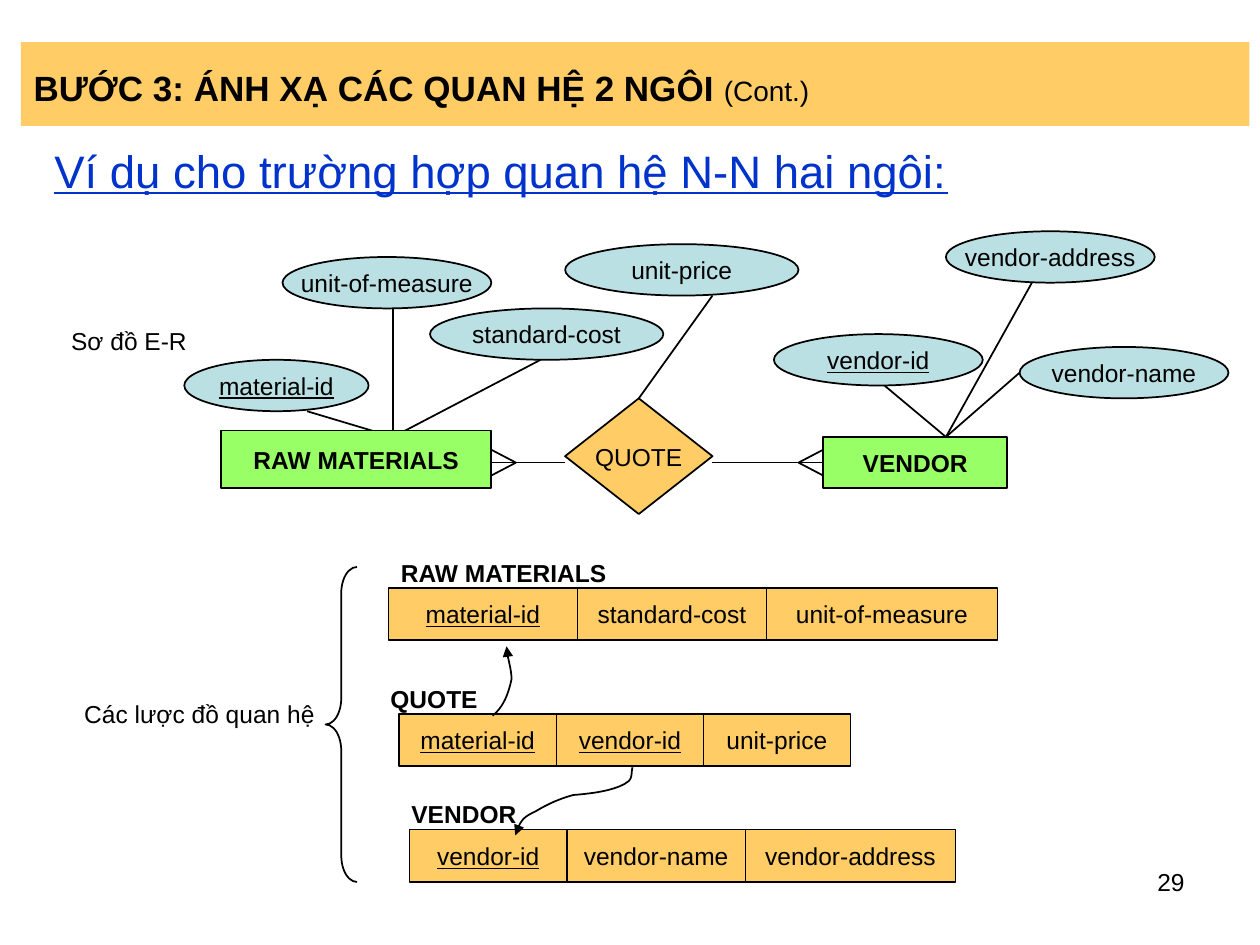
from dataclasses import dataclass

import lxml.etree
import pptx
import pptx.dml.color
import pptx.enum.shapes
import pptx.enum.text
import pptx.oxml.ns
import pptx.util

SHAPE = pptx.enum.shapes.MSO_SHAPE
ALIGN = pptx.enum.text.PP_ALIGN
MIDDLE = pptx.enum.text.MSO_ANCHOR.MIDDLE
TOP = pptx.enum.text.MSO_ANCHOR.TOP


@dataclass(frozen=True)
class Theme:
    font: str = "Arial"
    ink: str = "000000"
    heading: str = "0033CC"
    band: str = "FFCC66"
    entity: str = "99FF66"
    attribute: str = "BBE0E3"
    title_size: int = 20
    suffix_size: int = 16
    heading_size: int = 26
    body_size: int = 14
    line_width: int = 1


@dataclass(frozen=True)
class Grid:
    """Turns columns and rows, counted from the slide's corner, into lengths."""
    column: float
    row: float

    def x(self, columns):
        return pptx.util.Inches(columns * self.column)

    def y(self, rows):
        return pptx.util.Inches(rows * self.row)

    def box(self, left, top, width, height):
        return self.x(left), self.y(top), self.x(width), self.y(height)


THEME = Theme()
PAGE = Grid(1 / 12, 1 / 12)
DIAGRAM = Grid(0.0975, 0.102)


def rgb(colour):
    return pptx.dml.color.RGBColor.from_string(colour)


def style_run(run, size=THEME.body_size, colour=THEME.ink, bold=False, underline=False):
    run.font.name = THEME.font
    run.font.size = pptx.util.Pt(size)
    run.font.color.rgb = rgb(colour)
    run.font.bold = bold
    run.font.underline = underline


def write(shape, text, align=ALIGN.CENTER, anchor=MIDDLE, wrap=False, **style):
    frame = shape.text_frame
    frame.text = text
    frame.word_wrap = wrap
    frame.vertical_anchor = anchor
    paragraph = frame.paragraphs[0]
    paragraph.alignment = align
    style_run(paragraph.runs[0], **style)
    return paragraph


def outline(shape):
    shape.line.color.rgb = rgb(THEME.ink)
    shape.line.width = pptx.util.Pt(THEME.line_width)


def add_node(slide, kind, box, text, fill, **style):
    node = slide.shapes.add_shape(kind, *box)
    node.shadow.inherit = False
    node.fill.solid()
    node.fill.fore_color.rgb = rgb(fill)
    outline(node)
    write(node, text, **style)
    return node


def add_label(slide, box, text, **options):
    return write(slide.shapes.add_textbox(*box), text, **options)


def add_link(slide, start, end):
    link = slide.shapes.add_connector(
        pptx.enum.shapes.MSO_CONNECTOR.STRAIGHT,
        DIAGRAM.x(start[0]), DIAGRAM.y(start[1]), DIAGRAM.x(end[0]), DIAGRAM.y(end[1]))
    outline(link)
    lxml.etree.SubElement(link._element.spPr, pptx.oxml.ns.qn("a:effectLst"))
    return link


def add_crow_foot(slide, side, tip, middle=36):
    for edge in (middle - 1, middle + 1):
        add_link(slide, (side, edge), (tip, middle))


def bezier(p0, p1, p2, p3, steps=10):
    """Points along a cubic curve, without its start."""
    for step in range(1, steps + 1):
        t = step / steps
        u = 1 - t
        yield tuple(u**3 * a + 3 * u * u * t * b + 3 * u * t * t * c + t**3 * d
                    for a, b, c, d in zip(p0, p1, p2, p3))


def add_curved_arrow(slide, start, *curves):
    """Draw an arrow through curves of two control points and an end, in inches."""
    points = [start]
    for curve in curves:
        points.extend(bezier(points[-1], *curve))
    points = [(pptx.util.Inches(x), pptx.util.Inches(y)) for x, y in points]
    builder = slide.shapes.build_freeform(*points[0])
    builder.add_line_segments(points[1:], close=False)
    arrow = builder.convert_to_shape()
    arrow.shadow.inherit = False
    arrow.fill.background()
    outline(arrow)
    lxml.etree.SubElement(arrow.line._get_or_add_ln(),
                          pptx.oxml.ns.qn("a:tailEnd"), type="triangle")


def add_title(slide, text, suffix):
    title = slide.shapes.title
    title.left, title.top, title.width, title.height = PAGE.box(2, 4, 117, 8)
    title.fill.solid()
    title.fill.fore_color.rgb = rgb(THEME.band)
    paragraph = write(title, text, align=ALIGN.LEFT, wrap=True,
                      size=THEME.title_size, bold=True)
    paragraph.line_spacing = 1.15
    ending = paragraph.add_run()
    ending.text = suffix
    style_run(ending, size=THEME.suffix_size)


def add_relation(slide, name, name_left, name_top, left, top, fields):
    """Draw a relation's name and its fields, each (text, columns, is_key)."""
    add_label(slide, PAGE.box(name_left, name_top, 24, 5), name,
              align=ALIGN.LEFT, bold=True)
    for field, columns, is_key in fields:
        add_node(slide, SHAPE.RECTANGLE, PAGE.box(left, top, columns, 5), field,
                 THEME.band, underline=is_key)
        left += columns


def add_schemas(slide):
    add_label(slide, PAGE.box(6, 66, 26, 4), "Các lược đồ quan hệ")
    add_relation(slide, "RAW MATERIALS", 37, 52, 37, 56, [
        ("material-id", 18, True), ("standard-cost", 18, False),
        ("unit-of-measure", 22, False)])
    add_relation(slide, "QUOTE", 36, 64, 38, 68, [
        ("material-id", 15, True), ("vendor-id", 14, True), ("unit-price", 14, False)])
    add_relation(slide, "VENDOR", 38, 75, 39, 79, [
        ("vendor-id", 15, True), ("vendor-name", 17, False),
        ("vendor-address", 20, False)])
    add_curved_arrow(slide, (3.91, 5.68),
                     ((4, 5.61), (4.04, 5.49), (4.06, 5.39)),
                     ((4.06, 5.3), (4.02, 5.2), (4.02, 5.13)))
    add_curved_arrow(slide, (5.02, 6.09),
                     ((5.01, 6.13), (5.02, 6.17), (4.99, 6.2)),
                     ((4.89, 6.28), (4.67, 6.3), (4.55, 6.31)),
                     ((4.44, 6.34), (4.35, 6.38), (4.25, 6.44)),
                     ((4.14, 6.49), (4.13, 6.52), (4.09, 6.63)))
    brace = slide.shapes.add_shape(SHAPE.LEFT_BRACE, *PAGE.box(31, 54, 3, 30))
    brace.adjustments[0] = 0.83
    brace.shadow.inherit = False
    brace.fill.background()
    outline(brace)


def add_er_diagram(slide):
    add_label(slide, DIAGRAM.box(0, 24, 21, 5), "Sơ đồ E-R")
    vendor = add_node(slide, SHAPE.RECTANGLE, DIAGRAM.box(67, 34, 15, 4), "VENDOR",
                      THEME.entity, bold=True)
    quote = add_node(slide, SHAPE.DIAMOND, DIAGRAM.box(46, 31, 12, 9), "QUOTE", THEME.band)
    add_link(slide, (40, 36), (46, 36))
    add_link(slide, (58, 36), (67, 36)).end_connect(vendor, 1)
    add_crow_foot(slide, 40, 42)
    add_crow_foot(slide, 67, 65)

    materials_joint, vendor_joint, quote_joint = (32, 34), (77, 34), (52, 31)
    attributes = [
        ("material-id", 15, 28, 15, True, (25, 32), materials_joint),
        ("unit-of-measure", 23, 20, 17, False, (32, 24), materials_joint),
        ("standard-cost", 35, 24, 19, False, (44, 28), materials_joint),
        ("unit-price", 46, 19, 19, False, (58, 23), quote_joint),
        ("vendor-id", 63, 26, 17, True, (72, 30), vendor_joint),
        ("vendor-name", 83, 27, 17, False, (83, 29), vendor_joint),
        ("vendor-address", 77, 18, 17, False, (84, 22), vendor_joint),
    ]
    for name, left, top, width, is_key, start, joint in attributes:
        add_node(slide, SHAPE.OVAL, DIAGRAM.box(left, top, width, 4), name,
                 THEME.attribute, underline=is_key)
        link = add_link(slide, start, joint)
        if joint == quote_joint:
            link.end_connect(quote, 0)
    add_node(slide, SHAPE.RECTANGLE, DIAGRAM.box(18, 33.5, 22, 4.5), "RAW MATERIALS",
             THEME.entity, bold=True)


def main():
    deck = pptx.Presentation()
    deck.slide_width, deck.slide_height = pptx.util.Inches(10), pptx.util.Inches(7.5)
    slide = deck.slides.add_slide(deck.slide_layouts[5])
    add_title(slide, "BƯỚC 3: ÁNH XẠ CÁC QUAN HỆ 2 NGÔI ", "(Cont.)")
    heading = add_label(slide, PAGE.box(4, 14, 113, 7),
                        "Ví dụ cho trường hợp quan hệ N-N hai ngôi:",
                        align=ALIGN.LEFT, anchor=TOP, wrap=True,
                        size=THEME.heading_size, colour=THEME.heading, underline=True)
    heading.line_spacing = 0.8
    add_schemas(slide)
    add_er_diagram(slide)
    add_label(slide, PAGE.box(86, 82, 28, 6), "29", align=ALIGN.RIGHT, anchor=TOP, wrap=True)
    deck.save("out.pptx")


if __name__ == "__main__":
    main()
